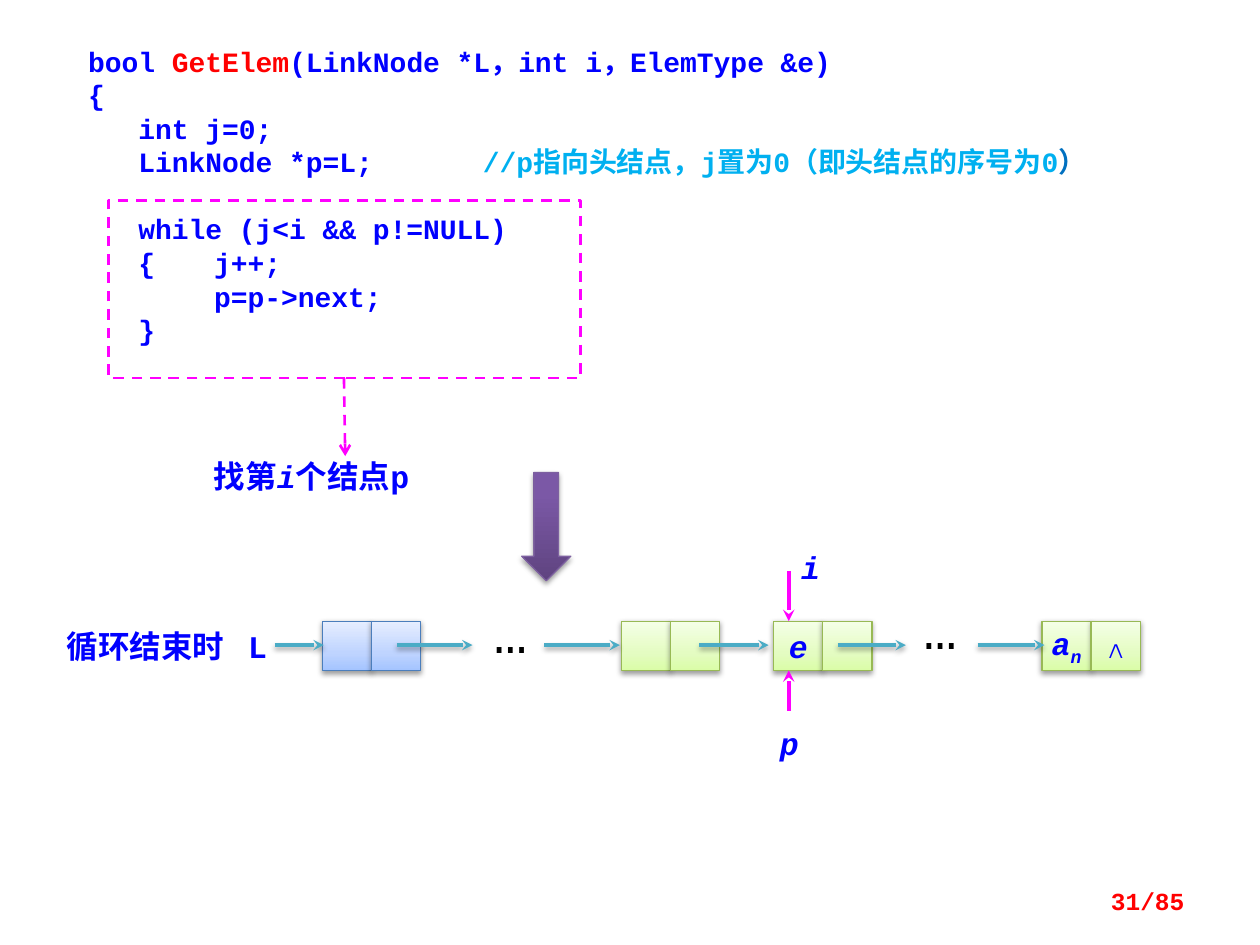
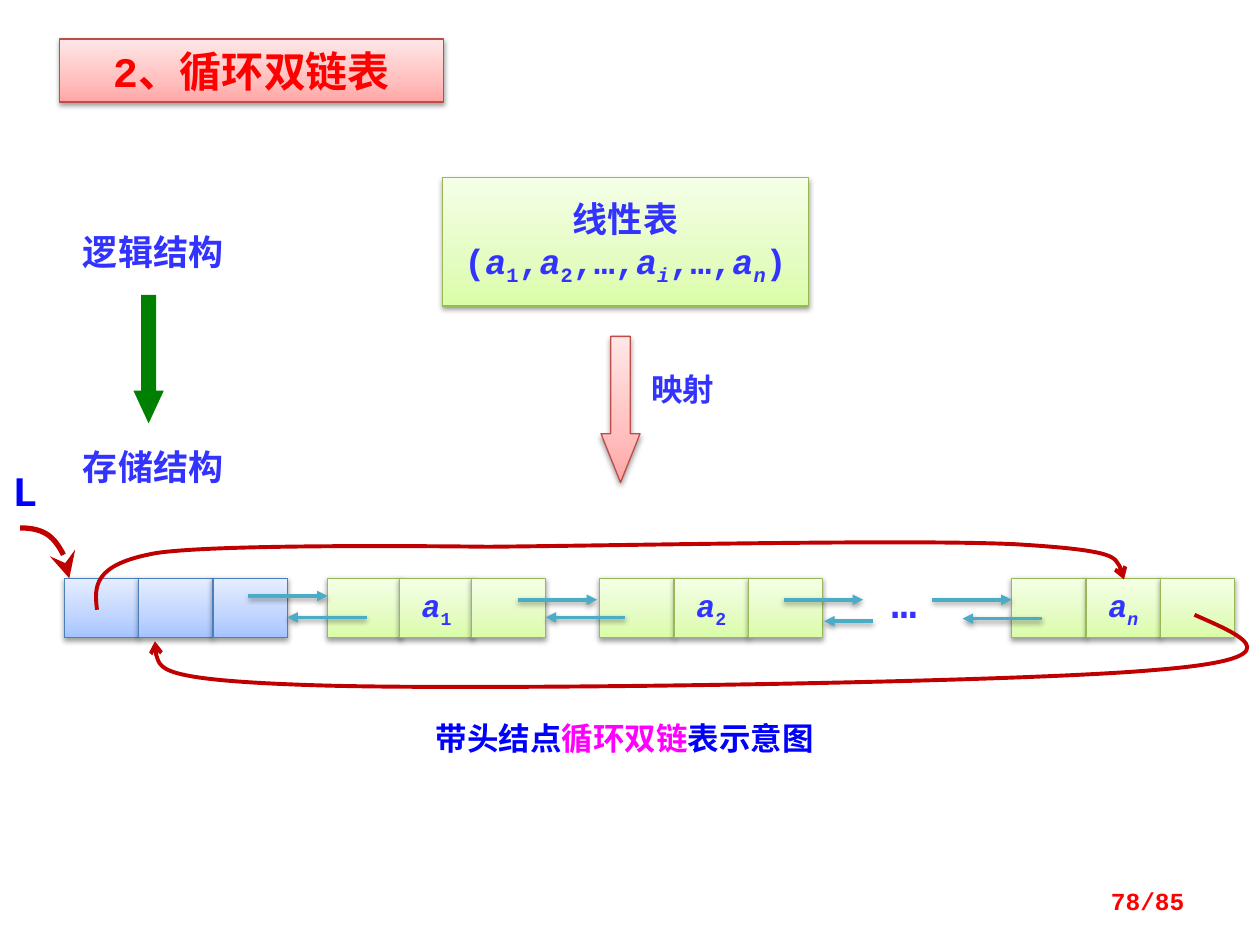
from dataclasses import dataclass

from lxml.etree import SubElement
from pptx import Presentation
from pptx.dml.color import RGBColor
from pptx.enum.dml import MSO_LINE
from pptx.enum.shapes import MSO_CONNECTOR, MSO_SHAPE
from pptx.enum.text import MSO_ANCHOR, PP_ALIGN
from pptx.oxml.ns import qn
from pptx.util import Inches, Pt


@dataclass(frozen=True)
class Theme:
    blue: str = "0000FF"
    violet: str = "3333FF"
    red: str = "FF0000"
    magenta: str = "FF00FF"
    sky: str = "00B0F0"
    navy: str = "0070C0"
    teal: str = "4BACC6"
    crimson: str = "C00000"
    green: str = "008000"
    black: str = "000000"
    white: str = "FFFFFF"
    mono: str = "Courier New"
    sans: str = "Noto Sans CJK SC"
    code: float = 16
    code_pitch: float = 19.2
    label: float = 18
    heading: float = 20
    title: float = 24
    dots: float = 32
    footer: float = 14


THEME = Theme()
GRADIENTS = {
    "head": ("4B7EBC", [(0, "A4C4FF"), (35, "BFD4FF"), (100, "E6EEFF")]),
    "data": ("98B955", [(0, "DAFDA7"), (35, "E4FCC2"), (100, "F5FFE7")]),
    "rose": ("BF4C48", [(0, "FFA6A5"), (35, "FFC0BF"), (100, "FFE7E7")]),
    "purple": ("7D60A0", [(0, "5F4480"), (80, "7B58A6"), (100, "7C57A8")]),
}
ITALIC = {"italic": True}
SUB = {"sub": True}
ITALIC_SUB = {"italic": True, "sub": True}

CODE = [
    [("bool ", {}), ("GetElem", {"color": THEME.red}), ("(LinkNode *L，int i，ElemType &e)", {})],
    "{",
    "   int j=0;",
    [("   LinkNode *p=L;\t ", {}),
     ("//p指向头结点，j置为0（即头结点的序号为0", {"color": THEME.sky}),
     ("）", {"color": THEME.navy})],
    "   while (j<i && p!=NULL)",
    "   {\tj++;",
    "\tp=p->next;",
    "   }",
]
LOOP_LINE = 4
SEARCH = [("找第", {}), ("i", ITALIC), ("个结点p", {})]
SINGLE_TOP, SINGLE_SIDE = 4.93, 0.39
SINGLE_NODES = [
    (2.56, "head", ["", ""]),
    (4.93, "data", ["", ""]),
    (6.14, "data", [[("e", ITALIC)], ""]),
    (8.27, "data", [[("a", ITALIC), ("n", ITALIC_SUB)], [("∧", {"bold": False})]]),
]
SINGLE_LINKS = [(2.18, 2.57), (3.15, 3.75), (4.32, 4.92), (5.55, 6.1), (6.65, 7.19), (7.76, 8.29)]
SINGLE_LABELS = [
    ("循环结束时", 0.43, 4.93, 1.65, {}),
    ("L", 1.87, 4.93, 0.39, {}),
    ("i", 6.26, 4.3, 0.39, ITALIC),
    ("p", 6.09, 5.7, 0.39, ITALIC),
]
SINGLE_DOTS = [(3.82, 4.69), (7.23, 4.66)]
POINTERS = [(4.53, 4.93), (5.64, 5.32)]

LINEAR_LIST = [
    "线性表",
    [("(", {}), ("a", ITALIC), ("1", SUB), (",", {}), ("a", ITALIC), ("2", SUB), (",…,", {}),
     ("a", ITALIC), ("i", ITALIC_SUB), (",…,", {}), ("a", ITALIC), ("n", ITALIC_SUB), (")", {})],
]
DOUBLE_TOP, DOUBLE_WIDTH, DOUBLE_HEIGHT = 4.59, 0.59, 0.47
DOUBLE_NODES = [
    (0.51, 0.59, "head", ["", "", ""]),
    (2.6, 0.57, "data", ["", [("a", ITALIC), ("1", SUB)], ""]),
    (4.76, 0.59, "data", ["", [("a", ITALIC), ("2", SUB)], ""]),
    (8.03, 0.59, "data", ["", [("a", ITALIC), ("n", ITALIC_SUB)], ""]),
]
DOUBLE_LINKS = [
    (1.97, 2.6, 4.73), (4.11, 4.74, 4.76), (6.22, 6.85, 4.76), (7.4, 8.03, 4.76),
    (2.91, 2.28, 4.9), (4.96, 4.33, 4.9), (6.93, 6.54, 4.93), (8.27, 7.64, 4.91),
]
STRUCTURES = [("逻辑结构", 1.78), ("存储结构", 3.49)]
CURVES = [
    ("stealth", "lg", 3, [(0.16, 4.19), (0.37, 4.19), (0.55, 4.37), (0.55, 4.59)]),
    ("arrow", "med", 2.25, [
        (9.48, 4.88), (9.89, 5.06), (10.3, 5.23), (9.14, 5.32), (7.99, 5.42),
        (3.85, 5.48), (2.53, 5.44), (1.21, 5.4), (1.22, 5.24), (1.23, 5.09)]),
    ("arrow", "med", 2.25, [
        (0.77, 4.84), (0.75, 4.66), (0.73, 4.48), (1.24, 4.39), (1.76, 4.31),
        (3.87, 4.34), (3.87, 4.34), (5, 4.33), (7.22, 4.28), (8.06, 4.32),
        (8.9, 4.37), (8.91, 4.49), (8.92, 4.6)]),
]
CAPTION = [("带头结点", {}), ("循环双链", {"color": THEME.magenta}), ("表示意图", {})]


def rgb(color):
    return RGBColor.from_string(color)


def set_effects(shape, shadow):
    effects = SubElement(shape.element.spPr, qn("a:effectLst"))
    if shadow:
        outer = SubElement(effects, qn("a:outerShdw"), blurRad=str(Pt(3.1)), dist=str(Pt(1.6)),
                           dir="5400000", rotWithShape="0")
        color = SubElement(outer, qn("a:srgbClr"), val=THEME.black)
        SubElement(color, qn("a:alpha"), val="38000")


def set_line(shape, color, width, tail=None, dashed=False, tail_size="med"):
    shape.line.color.rgb = rgb(color)
    shape.line.width = Pt(width)
    if dashed:
        shape.line.dash_style = MSO_LINE.DASH
    if tail:
        SubElement(shape.element.spPr.find(qn("a:ln")), qn("a:tailEnd"), type=tail,
                   w=tail_size, len=tail_size)


def set_gradient(shape, name):
    outline, stops = GRADIENTS[name]
    shape.fill.gradient()
    shape.fill.gradient_angle = 90
    stop_list = next(shape.element.iter(qn("a:gsLst")))
    stop_list.clear()
    for position, color in stops:
        stop = SubElement(stop_list, qn("a:gs"), pos=str(position * 1000))
        SubElement(stop, qn("a:srgbClr"), val=color)
    set_line(shape, outline, 0.75)
    set_effects(shape, True)


def write(shape, paragraphs, size, color, font=THEME.mono, align=PP_ALIGN.LEFT,
          anchor=MSO_ANCHOR.TOP, wrap=True, tabs=()):
    frame = shape.text_frame
    frame.word_wrap = wrap
    frame.vertical_anchor = anchor
    for index, spans in enumerate(paragraphs):
        para = frame.paragraphs[0] if index == 0 else frame.add_paragraph()
        para.alignment = align
        if tabs:
            tab_list = SubElement(para._p.get_or_add_pPr(), qn("a:tabLst"))
            for tab in tabs:
                SubElement(tab_list, qn("a:tab"), pos=str(Inches(tab)), algn="l")
        para.font.name, para.font.size, para.font.bold = font, Pt(size), True
        para.font.color.rgb = rgb(color)
        for text, style in [(spans, {})] if isinstance(spans, str) else spans:
            span = para.add_run()
            span.text = text
            if "color" in style:
                span.font.color.rgb = rgb(style["color"])
            if "italic" in style:
                span.font.italic = True
            if "bold" in style:
                span.font.bold = style["bold"]
            if "sub" in style:
                span._r.get_or_add_rPr().set("baseline", "-25000")


def add_text(page, paragraphs, left, top, width, height, size, color, **options):
    box = page.shapes.add_textbox(Inches(left), Inches(top), Inches(width), Inches(height))
    write(box, paragraphs, size, color, **options)


def add_block(page, left, top, width, height, gradient=None, kind=MSO_SHAPE.RECTANGLE):
    block = page.shapes.add_shape(kind, Inches(left), Inches(top), Inches(width), Inches(height))
    if gradient:
        set_gradient(block, gradient)
    else:
        block.shadow.inherit = False
    return block


def add_node(page, left, top, width, height, pitch, gradient, cells, color):
    for index, spans in enumerate(cells):
        cell = add_block(page, left + index * pitch, top, width, height, gradient)
        if spans:
            write(cell, [spans], THEME.label, color, align=PP_ALIGN.CENTER,
                  anchor=MSO_ANCHOR.MIDDLE, wrap=False)


def add_arrow(page, start, end, color, width, tail, shadow=False, dashed=False):
    arrow = page.shapes.add_connector(MSO_CONNECTOR.STRAIGHT, *map(Inches, start + end))
    set_line(arrow, color, width, tail, dashed)
    set_effects(arrow, shadow)


def add_curve(page, points, width, tail, tail_size):
    start, *controls = [(Inches(x), Inches(y)) for x, y in points]
    builder = page.shapes.build_freeform(*start)
    builder.add_line_segments(controls, close=False)
    curve = builder.convert_to_shape()
    curve.fill.background()
    set_line(curve, THEME.crimson, width, tail, tail_size=tail_size)
    set_effects(curve, False)
    segments = list(curve.element.iter(qn("a:lnTo")))
    outline = segments[0].getparent()
    for first in range(0, len(segments), 3):
        bezier = SubElement(outline, qn("a:cubicBezTo"))
        for segment in segments[first:first + 3]:
            bezier.append(segment[0])
            outline.remove(segment)


def add_page(deck, number):
    page = deck.slides.add_slide(deck.slide_layouts[6])
    add_text(page, [f"{number}/85"], 7.17, 6.95, 2.33, 0.4, THEME.footer, THEME.red,
             align=PP_ALIGN.RIGHT, anchor=MSO_ANCHOR.MIDDLE)
    return page


def build_search_page(deck):
    page = add_page(deck, 31)
    code = add_block(page, 0.5, 0.23, 9.27, 2.93)
    code.fill.solid()
    code.fill.fore_color.rgb = rgb(THEME.white)
    code.line.fill.background()
    write(code, CODE, THEME.code, THEME.blue, tabs=(1, 2, 3))
    frame = code.text_frame
    frame.margin_left, frame.margin_top = Inches(0.2), Inches(0.12)
    for para in frame.paragraphs:
        para.line_spacing = Pt(THEME.code_pitch)
    frame.paragraphs[LOOP_LINE].space_before = Pt(THEME.code_pitch)

    loop = add_block(page, 0.86, 1.59, 3.75, 1.41)
    loop.fill.background()
    set_line(loop, THEME.magenta, 1.5, dashed=True)
    add_arrow(page, (2.73, 3), (2.74, 3.62), THEME.magenta, 1.5, "arrow", dashed=True)
    add_text(page, [SEARCH], 1.6, 3.58, 2.27, 0.4, THEME.label, THEME.blue)
    add_block(page, 4.14, 3.75, 0.39, 0.86, "purple", MSO_SHAPE.DOWN_ARROW)

    for left, gradient, cells in SINGLE_NODES:
        add_node(page, left, SINGLE_TOP, SINGLE_SIDE, SINGLE_SIDE, SINGLE_SIDE, gradient, cells,
                 THEME.blue)
    for start, end in SINGLE_LINKS:
        add_arrow(page, (start, 5.12), (end, 5.12), THEME.teal, 2, "stealth", shadow=True)
    for start, end in POINTERS:
        add_arrow(page, (6.26, start), (6.26, end), THEME.magenta, 2.25, "stealth")
    for text, left, top, width, style in SINGLE_LABELS:
        add_text(page, [[(text, style)]], left, top, width, 0.4, THEME.label, THEME.blue)
    for left, top in SINGLE_DOTS:
        add_text(page, [[("…", {"bold": False})]], left, top, 0.79, 0.63, THEME.dots, THEME.black)


def build_double_page(deck):
    page = add_page(deck, 78)
    centered = {"align": PP_ALIGN.CENTER, "anchor": MSO_ANCHOR.MIDDLE}
    title = add_block(page, 0.47, 0.31, 3.05, 0.5, "rose")
    write(title, ["2、循环双链表"], THEME.title, THEME.red, **centered)
    linear = add_block(page, 3.51, 1.41, 2.91, 1.02, "data")
    write(linear, LINEAR_LIST, THEME.heading, THEME.violet, wrap=False, **centered)

    mapping = add_block(page, 4.77, 2.67, 0.31, 1.16, "rose", MSO_SHAPE.DOWN_ARROW)
    mapping.adjustments[1] = 1.25
    add_text(page, ["映射"], 5.07, 2.89, 1.02, 0.4, THEME.label, THEME.violet, font=THEME.sans)
    storing = add_block(page, 1.06, 2.34, 0.24, 1.02, kind=MSO_SHAPE.DOWN_ARROW)
    storing.adjustments[1] = 1.08
    storing.fill.solid()
    storing.fill.fore_color.rgb = rgb(THEME.green)
    storing.line.fill.background()
    for text, top in STRUCTURES:
        add_text(page, [text], 0.27, top, 1.89, 0.44, THEME.heading, THEME.violet,
                 font=THEME.sans, align=PP_ALIGN.CENTER)

    for left, pitch, gradient, cells in DOUBLE_NODES:
        add_node(page, left, DOUBLE_TOP, DOUBLE_WIDTH, DOUBLE_HEIGHT, pitch, gradient, cells,
                 THEME.violet)
    for start, end, height in DOUBLE_LINKS:
        add_arrow(page, (start, height), (end, height), THEME.teal, 2, "triangle", shadow=True)
    for tail, tail_size, width, points in CURVES:
        add_curve(page, points, width, tail, tail_size)
    add_text(page, ["…"], 6.86, 4.53, 0.63, 0.5, THEME.title, THEME.violet, align=PP_ALIGN.CENTER)
    add_text(page, ["L"], 0, 3.64, 0.47, 0.5, THEME.title, THEME.blue)
    add_text(page, [CAPTION], 3.36, 5.66, 3.83, 0.4, THEME.label, THEME.blue, font=THEME.sans)


def main():
    deck = Presentation()
    deck.slide_width, deck.slide_height = Inches(10), Inches(7.5)
    build_search_page(deck)
    build_double_page(deck)
    deck.save("out.pptx")


if __name__ == "__main__":
    main()
